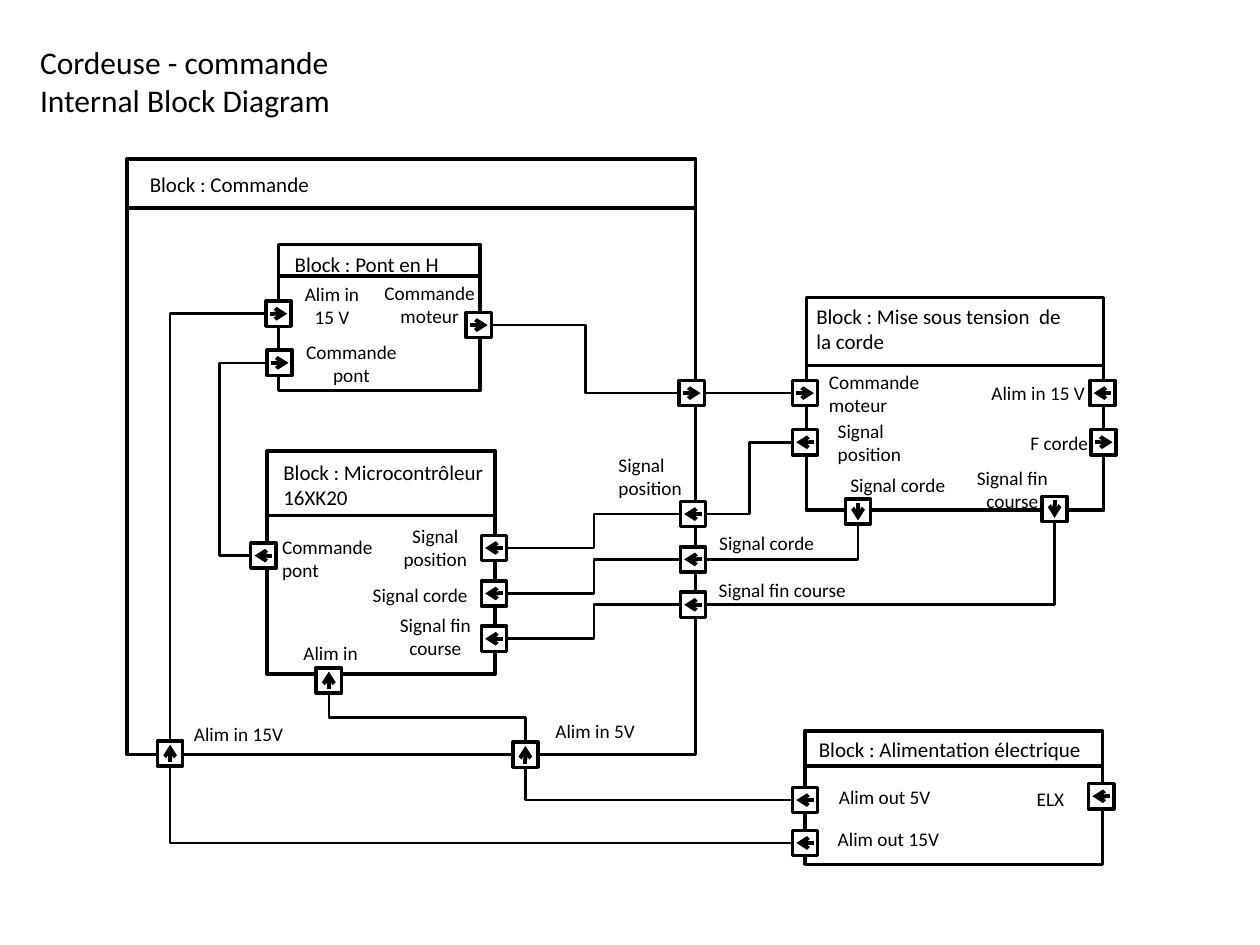
import pptx
import pptx.dml.color
import pptx.enum.shapes
import pptx.enum.text
import pptx.oxml.ns
import pptx.util
from lxml import etree

Inches = pptx.util.Inches
qn = pptx.oxml.ns.qn
CONNECTOR = pptx.enum.shapes.MSO_CONNECTOR
LEFT, CENTER = pptx.enum.text.PP_ALIGN.LEFT, pptx.enum.text.PP_ALIGN.CENTER
DIRECTIONS = {"right": (1, 0), "left": (-1, 0), "up": (0, -1), "down": (0, 1)}


def color(hex_string):
    """Turn a hex string into a colour."""
    return pptx.dml.color.RGBColor.from_string(hex_string)


class BlockDiagram:
    """Style and drawing methods for an internal block diagram."""

    font = "Calibri"
    ink = "000000"
    paper = "FFFFFF"
    port_size = 0.2
    arrow_length = 0.14

    def __init__(self, slide):
        self.shapes = slide.shapes

    def rect(self, left, top, width, height, fill=None):
        """Draw an outlined rectangle, hollow unless a fill is given."""
        box = self.shapes.add_shape(
            pptx.enum.shapes.MSO_SHAPE.RECTANGLE,
            Inches(left), Inches(top), Inches(width), Inches(height))
        box.shadow.inherit = False
        if fill:
            box.fill.solid()
            box.fill.fore_color.rgb = color(fill)
        else:
            box.fill.background()
        box.line.color.rgb = color(self.ink)
        box.line.width = pptx.util.Pt(2)

    def text(self, left, top, width, height, words, size=11, align=LEFT, wrap=False):
        """Write one paragraph per line of words."""
        box = self.shapes.add_textbox(
            Inches(left), Inches(top), Inches(width), Inches(height))
        frame = box.text_frame
        frame.word_wrap = wrap
        frame.auto_size = pptx.enum.text.MSO_AUTO_SIZE.SHAPE_TO_FIT_TEXT
        frame.text = words
        for paragraph in frame.paragraphs:
            paragraph.alignment = align
            for run in paragraph.runs:
                run.font.name = self.font
                run.font.size = pptx.util.Pt(size)
                run.font.color.rgb = color(self.ink)

    def line(self, start, end, kind=CONNECTOR.STRAIGHT, weight=1.5, arrow=False):
        """Draw a connector between two points and return it."""
        wire = self.shapes.add_connector(kind, *map(Inches, (*start, *end)))
        wire.line.color.rgb = color(self.ink)
        wire.line.width = pptx.util.Pt(weight)
        properties = wire._element.spPr
        if arrow:
            etree.SubElement(properties.find(qn("a:ln")), qn("a:tailEnd"), type="arrow")
        etree.SubElement(properties, qn("a:effectLst"))
        return wire

    def step(self, start, end, bend=0.5):
        """Draw a wire that runs across, along and across again."""
        wire = self.line(start, end, CONNECTOR.ELBOW)
        guides = wire._element.spPr.find(qn("a:prstGeom")).get_or_add_avLst()
        etree.SubElement(guides, qn("a:gd"), name="adj1",
                         fmla=f"val {round(bend * 100000)}")

    def upright_step(self, start, end):
        """Draw a wire that runs up, across and up again."""
        (x1, y1), (x2, y2) = start, end
        mid_x, mid_y = (x1 + x2) / 2, (y1 + y2) / 2
        half_x, half_y = (x2 - x1) / 2, (y2 - y1) / 2
        wire = self.line((mid_x + half_y, mid_y - half_x),
                         (mid_x - half_y, mid_y + half_x), CONNECTOR.ELBOW)
        wire._element.spPr.find(qn("a:xfrm")).set("rot", str(270 * 60000))

    def corner(self, start, end):
        """Draw a wire with one corner, horizontal at its start."""
        wire = self.line(start, end, CONNECTOR.ELBOW)
        wire._element.spPr.find(qn("a:prstGeom")).set("prst", "bentConnector2")

    def block(self, left, top, width, header, body, title, title_box):
        """Draw a block: header, body and title."""
        self.rect(left, top + header, width, body)
        self.rect(left, top, width, header)
        self.text(*title_box, title, size=12)

    def port(self, x, y, direction):
        """Draw a flow port centred on a point."""
        side, reach = self.port_size, self.arrow_length / 2
        self.rect(x - side / 2, y - side / 2, side, side, self.paper)
        dx, dy = (reach * part for part in DIRECTIONS[direction])
        self.line((x - dx, y - dy), (x + dx, y + dy), weight=2.25, arrow=True)


deck = pptx.Presentation()
deck.slide_width, deck.slide_height = Inches(10), Inches(7.5)
diagram = BlockDiagram(deck.slides.add_slide(deck.slide_layouts[6]))

diagram.text(0.22, 0.29, 2.53, 0.71, "Cordeuse - commande\nInternal Block Diagram", size=18)

BLOCKS = [
    (1.01, 1.26, 4.51, 0.39, 4.34, "Block : Commande", (1.09, 1.31, 1.52, 0.3)),
    (2.12, 3.58, 1.81, 0.51, 1.26, "Block : Microcontrôleur\n16XK20", (2.15, 3.6, 1.81, 0.5)),
    (2.21, 1.94, 1.6, 0.25, 0.91, "Block : Pont en H", (2.24, 1.95, 1.36, 0.3)),
    (6.39, 5.8, 2.36, 0.28, 0.78, "Block : Alimentation électrique", (6.4, 5.8, 2.31, 0.3)),
    (6.4, 2.36, 2.36, 0.54, 1.15, "Block : Mise sous tension  de\nla corde",
     (6.38, 2.36, 2.21, 0.5)),
]
for block in BLOCKS:
    diagram.block(*block)

# Signals enter the command block and reach the microcontroller at one pitch.
SIGNAL_PITCH = 0.36
signal_rows = [(4.08 + row * SIGNAL_PITCH, 4.35 + row * SIGNAL_PITCH) for row in range(3)]
for outer_y, inner_y in signal_rows:
    diagram.port(5.5, outer_y, "left")
    diagram.port(3.92, inner_y, "left")
    diagram.step((5.4, outer_y), (4.03, inner_y))

PORTS = {
    "up": [(4.17, 5.99), (2.61, 5.4), (1.35, 5.98)],
    "down": [(8.37, 4.04), (6.81, 4.06)],
    "left": [(2.09, 4.41), (6.39, 6.35), (6.39, 6.69), (8.74, 6.32), (8.75, 3.12), (6.39, 3.51)],
    "right": [(2.22, 2.88), (2.21, 2.49), (6.39, 3.12), (8.76, 3.51), (3.8, 2.58), (5.49, 3.12)],
}
for direction, centres in PORTS.items():
    for centre in centres:
        diagram.port(*centre, direction)

LABELS = [
    (4.31, 5.66, 0.84, "Alim in 5V", LEFT),
    (2.31, 5.04, 0.63, "Alim in", LEFT),
    (2.14, 4.2, 0.96, "Commande\npont", LEFT),
    (6.56, 6.18, 0.93, "Alim out 5V", LEFT),
    (6.55, 6.52, 1.01, "Alim out 15V", LEFT),
    (8.13, 6.2, 0.44, "ELX", LEFT),
    (1.44, 5.68, 0.92, "Alim in 15V", LEFT),
    (7.77, 2.98, 0.95, "Alim in 15 V", LEFT),
    (6.65, 3.71, 0.96, "Signal corde", LEFT),
    (6.48, 2.89, 0.92, "Commande\nmoteur", LEFT),
    (8.08, 3.37, 0.66, "F corde", LEFT),
    (6.55, 3.28, 0.71, "Signal\nposition", LEFT),
    (7.65, 3.65, 0.77, "Signal fin\ncourse", CENTER),
    (4.81, 3.55, 0.71, "Signal\nposition", LEFT),
    (3.1, 4.11, 0.71, "Signal\nposition", CENTER),
    (5.61, 4.17, 0.96, "Signal corde", LEFT),
    (2.86, 4.58, 0.96, "Signal corde", LEFT),
    (3.07, 4.82, 0.77, "Signal fin\ncourse", CENTER),
    (2.95, 2.18, 0.92, "Commande\nmoteur", CENTER),
    (2.3, 2.19, 0.67, "Alim in\n15 V", CENTER),
    (2.31, 2.65, 0.96, "Commande\npont", CENTER),
]
for left, top, width, words, align in LABELS:
    diagram.text(left, top, width, 0.47 if "\n" in words else 0.29, words, align=align)
diagram.text(5.56, 4.54, 1.3, 0.29, "Signal fin course", align=CENTER, wrap=True)

diagram.upright_step((4.17, 5.89), (2.61, 5.5))
diagram.step((6.29, 3.51), (5.61, 4.08))
diagram.step((1.99, 4.41), (2.12, 2.88), bend=-1.92)
diagram.step((3.9, 2.58), (5.39, 3.12))
diagram.line((5.59, 3.12), (6.29, 3.12))
for start, end in [
    ((5.61, 4.44), (6.81, 4.17)),
    ((5.61, 4.8), (8.37, 4.14)),
    ((6.29, 6.35), (4.17, 6.09)),
    ((6.29, 6.69), (1.35, 6.09)),
    ((2.11, 2.49), (1.35, 5.88)),
]:
    diagram.corner(start, end)

deck.save("out.pptx")
